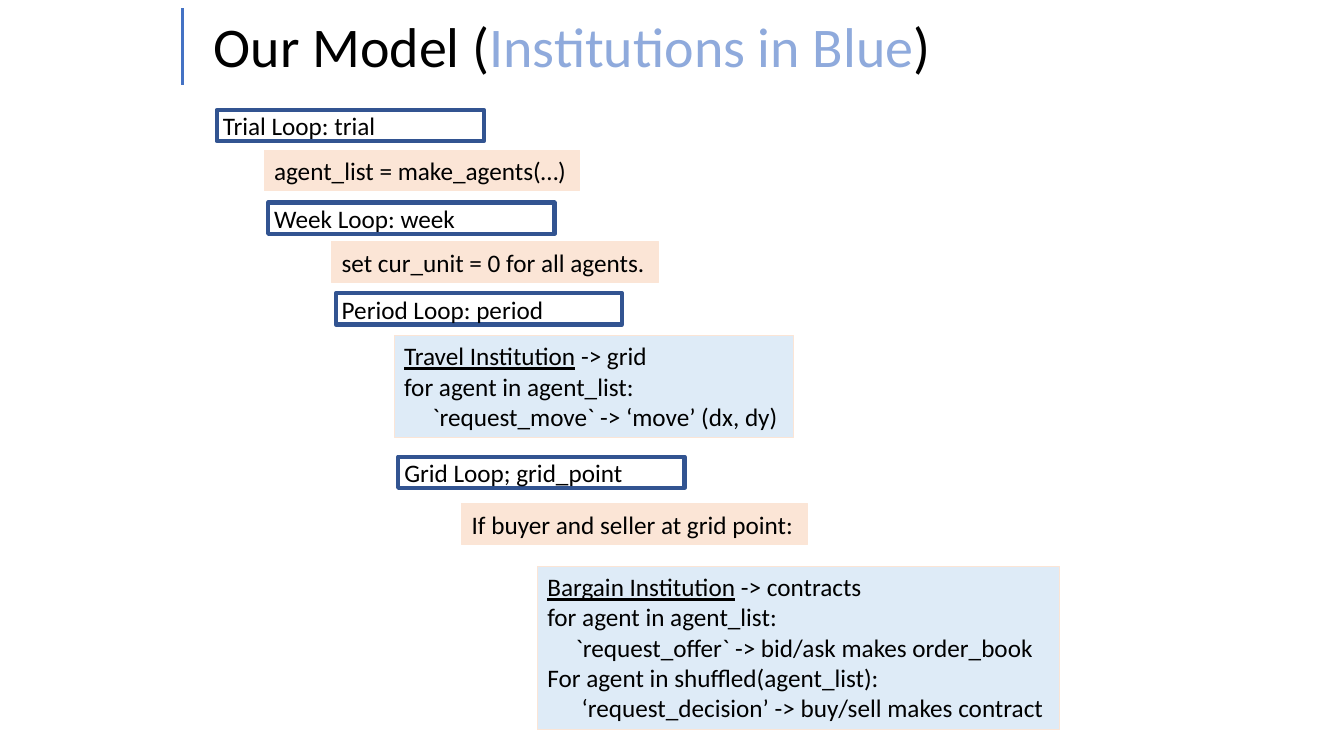
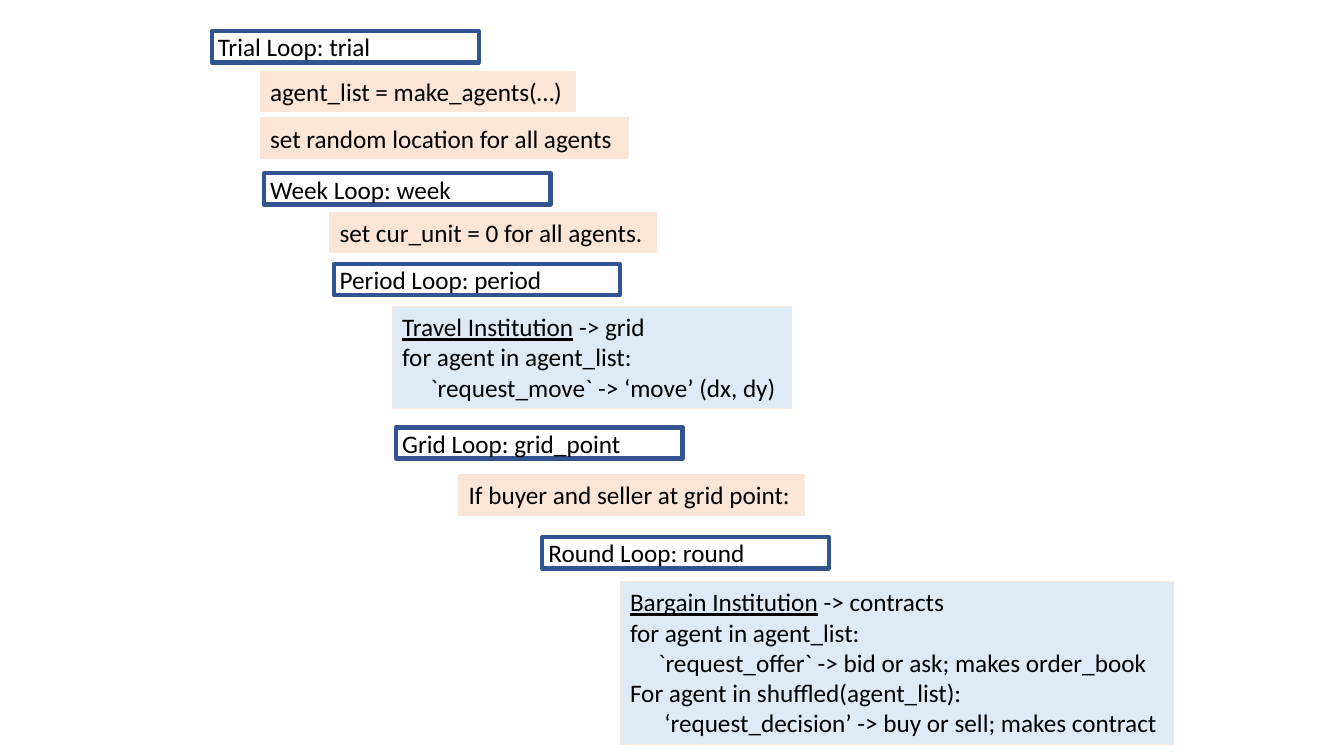
from lxml.etree import SubElement
from pptx import Presentation
from pptx.dml.color import RGBColor
from pptx.enum.shapes import MSO_CONNECTOR, MSO_SHAPE
from pptx.enum.text import MSO_ANCHOR, MSO_AUTO_SIZE, PP_ALIGN
from pptx.oxml.ns import qn
from pptx.util import Inches, Pt

HUES = {"ink": "000000", "navy": "325491", "peach": "FBE5D6",
        "sky": "DEEBF7", "blue": "8FAADC", "rule": "4472C4"}
KINDS = {
    "loop": {"fill": None, "line": "navy", "width": 3, "shift": 0.04, "drop": 0.06,
             "frame": {"margin_left": Inches(0.06), "margin_top": 0, "margin_bottom": 0,
                       "vertical_anchor": MSO_ANCHOR.MIDDLE}},
    "step": {"fill": "peach", "line": "peach", "width": 0.75, "shift": 0, "drop": 0,
             "frame": {"vertical_anchor": MSO_ANCHOR.TOP}},
}
KINDS["rule"] = {**KINDS["step"], "fill": "sky"}
FRAME = {"word_wrap": True, "auto_size": MSO_AUTO_SIZE.NONE, "margin_right": 0}
ROW, LINE = 0.4, 0.305  # height of a one-line row, and of each further line


def hue(name):
    return RGBColor.from_string(HUES[name])


def write(par, text, size=18, tint="ink", under=False):
    run = par.add_run()
    run.text = text
    for key, val in {"name": "Calibri", "size": Pt(size), "underline": under}.items():
        setattr(run.font, key, val)
    run.font.color.rgb = hue(tint)


# Each row: kind, column, gap above, width, lines as (indent, text)
trial = ("loop", 0, 0, 2.65, [(0, "Trial Loop: trial")])
agents = ("step", 1, 0.06, 3.13, [(0, "agent_list = make_agents(…)")])
place = ("step", 1, 0.06, 3.65, [(0, "set random location for all agents")])
turn = ("loop", 5, 0.16, 2.84, [(0, "Round Loop: round")])

plans = [
    {"cols": [2.11, 2.62, 3.29, 3.91, 4.58, 5.33], "top": 1.03, "head": [trial, agents],
     "gap": 0.06, "mark": ";", "tail": [], "deal": (5, 0.22, 5.18),
     "offer": "bid/ask makes", "choice": "buy/sell makes"},
    {"cols": [2.06, 2.58, 3.27, 3.89, 4.55, 5.34, 6.15], "top": 0.25,
     "head": [trial, agents, place],
     "gap": 0.09, "mark": ":", "tail": [turn], "deal": (6, 0.1, 5.49),
     "offer": "bid or ask; makes", "choice": "buy or sell; makes"},
]

deck = Presentation()
deck.slide_width, deck.slide_height = Inches(13.33), Inches(7.5)
first = deck.slides.add_slide(deck.slide_layouts[5])
second = deck.slides.add_slide(deck.slide_layouts[6])

# Title and its upright rule
title = first.shapes.title
for key, val in {"left": 2.02, "top": 0.06, "width": 7.39, "height": 0.77}.items():
    setattr(title, key, Inches(val))
for key, val in {**FRAME, "vertical_anchor": MSO_ANCHOR.MIDDLE}.items():
    setattr(title.text_frame, key, val)
par = title.text_frame.paragraphs[0]
par.alignment = PP_ALIGN.LEFT
for text, tint in (("Our Model (", "ink"), ("Institutions in Blue", "blue"), (")", "ink")):
    write(par, text, 40, tint)

bar = first.shapes.add_connector(MSO_CONNECTOR.STRAIGHT, Inches(1.81), Inches(0.08),
                                 Inches(1.81), Inches(0.84))
bar.line.color.rgb, bar.line.width = hue("rule"), Pt(2.25)
SubElement(bar._element.spPr, qn("a:effectLst"))

# Nested loops, one row under the other
for slide, plan in zip((first, second), plans):
    rows = plan["head"] + [
        ("loop", 1, plan["gap"], 2.84, [(0, "Week Loop: week")]),
        ("step", 2, 0.05, 3.24, [(0, "set cur_unit = 0 for all agents.")]),
        ("loop", 2, 0.05, 2.84, [(0, "Period Loop: period")]),
        ("rule", 3, 0.08, 3.96, [(0, "Travel Institution -> grid"),
                                 (0, "for agent in agent_list:"),
                                 (0.28, "`request_move` -> ‘move’ (dx, dy)")]),
        ("loop", 3, 0.13, 2.84, [(0, f"Grid Loop{plan['mark']} grid_point")]),
        ("step", 4, 0.13, 3.43, [(0, "If buyer and seller at grid point:")]),
    ] + plan["tail"] + [
        ("rule", *plan["deal"], [(0, "Bargain Institution -> contracts"),
                                 (0, "for agent in agent_list:"),
                                 (0.28, f"`request_offer` -> {plan['offer']} order_book"),
                                 (0, "For agent in shuffled(agent_list):"),
                                 (0.34, f"‘request_decision’ -> {plan['choice']} contract")]),
    ]
    top = plan["top"]
    for kind, col, gap, width, lines in rows:
        look = KINDS[kind]
        top += gap
        tall = ROW + LINE * (len(lines) - 1)
        high = 0.31 if kind == "loop" else tall
        box = slide.shapes.add_shape(
            MSO_SHAPE.RECTANGLE, Inches(plan["cols"][col] + look["shift"]),
            Inches(top + look["drop"]), Inches(width), Inches(high))
        box.shadow.inherit = False
        if look["fill"]:
            box.fill.solid()
            box.fill.fore_color.rgb = hue(look["fill"])
        else:
            box.fill.background()
        box.line.color.rgb, box.line.width = hue(look["line"]), Pt(look["width"])
        frame = box.text_frame
        for key, val in {**FRAME, **look["frame"]}.items():
            setattr(frame, key, val)
        for num, (dent, text) in enumerate(lines):
            par = frame.add_paragraph() if num else frame.paragraphs[0]
            par.alignment = PP_ALIGN.LEFT
            par._p.get_or_add_pPr().set("marL", str(Inches(dent)))
            if kind == "rule" and num == 0:
                name, dash, rest = text.partition(" -> ")
                write(par, name, under=True)
                text = dash + rest
            write(par, text)
        top += tall

deck.save("out.pptx")
